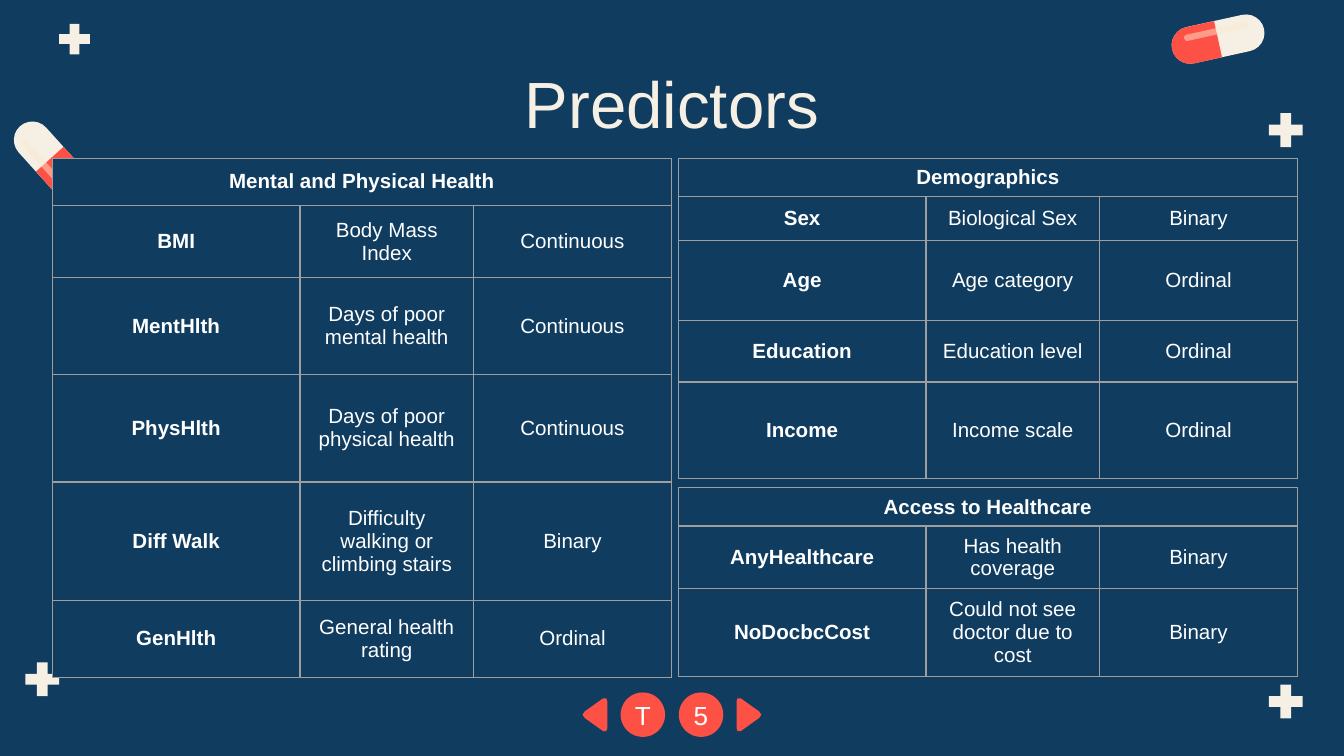
from math import cos, radians, sin

from lxml.etree import SubElement
from pptx import Presentation
from pptx.dml.color import RGBColor
from pptx.enum.shapes import MSO_SHAPE as Shape
from pptx.enum.text import MSO_ANCHOR as Anchor, PP_ALIGN as Align
from pptx.oxml.ns import qn
from pptx.util import Cm, Pt

NAVY = RGBColor(0x10, 0x3C, 0x60)
CREAM = RGBColor(0xF6, 0xEF, 0xE4)
RED = RGBColor(0xFE, 0x51, 0x45)
SHINE = RGBColor(0xFA, 0xE9, 0xCD)
WHITE = RGBColor(0xFF, 0xFF, 0xFF)
GREY = RGBColor(0x9E, 0x9E, 0x9E)

presentation = Presentation()
presentation.slide_width = Cm(25.4)
presentation.slide_height = Cm(14.29)
slide = presentation.slides.add_slide(presentation.slide_layouts[6])
slide.background.fill.solid()
slide.background.fill.fore_color.rgb = NAVY


def add_centred(kind, x, y, width, height, color, rotation=0):
    """Add a plain filled shape around its centre, in centimetres."""
    shape = slide.shapes.add_shape(
        kind, Cm(x - width / 2), Cm(y - height / 2), Cm(width), Cm(height))
    shape.rotation = rotation
    shape.shadow.inherit = False
    shape.fill.solid()
    shape.fill.fore_color.rgb = color
    shape.line.fill.background()
    return shape


def write(frame, text, size, color, bold=False):
    """Write one centred paragraph."""
    paragraph = frame.paragraphs[0]
    paragraph.alignment = Align.CENTER
    run = paragraph.add_run()
    run.text = text
    run.font.name = "Arial"
    run.font.size = Pt(size)
    run.font.bold = bold
    run.font.color.rgb = color


# Plus signs
for x, y, size in [(1.41, 0.74, 0.58), (24.3, 2.46, 0.64),
                   (24.3, 13.26, 0.64), (0.8, 12.84, 0.64)]:
    plus = add_centred(Shape.CROSS, x, y, size, size, CREAM)
    plus.adjustments[0] = 0.34

# Pills: body, red half at one end, translucent shine along one side
for x, y, length, angle in [(0.94, 3.01, 1.68, 228), (23.02, 0.74, 1.78, -12.4)]:
    along_x, along_y = cos(radians(angle)), sin(radians(angle))
    body = add_centred(Shape.ROUNDED_RECTANGLE, x, y, length, 0.7, CREAM, angle)
    half = add_centred(
        Shape.ROUND_2_SAME_RECTANGLE, x - along_x * length / 4,
        y - along_y * length / 4, 0.7, length / 2, RED, angle - 90)
    shine = add_centred(
        Shape.ROUNDED_RECTANGLE, x + along_y * 0.15, y - along_x * 0.15,
        length * 0.7, 0.12, SHINE, angle)
    for shape in (body, half, shine):
        shape.adjustments[0] = 0.5
    shine_color = shine._element.spPr.find(".//" + qn("a:srgbClr"))
    SubElement(shine_color, qn("a:alpha"), val="49000")

# Title
title = slide.shapes.add_textbox(Cm(1.98), Cm(0.94), Cm(21.44), Cm(1.6))
title.text_frame.word_wrap = True
title.text_frame.margin_top = title.text_frame.margin_bottom = Cm(0.25)
write(title.text_frame, "Predictors", 35, CREAM)

# Navigation buttons
for x, label in [(12.15, "T"), (13.25, "5")]:
    button = add_centred(Shape.OVAL, x, 13.51, 0.84, 0.84, RED)
    frame = button.text_frame
    frame.margin_left = frame.margin_right = 0
    frame.vertical_anchor = Anchor.MIDDLE
    frame.word_wrap = False
    write(frame, label, 14, WHITE)

# Navigation arrows with softened corners, mirrored about the slide centre
upper_edge = [(1.22, -0.25), (1.24, -0.31), (1.3, -0.31), (1.65, -0.06), (1.69, 0)]
outline = upper_edge + [(x, -y) for x, y in reversed(upper_edge[:-1])]
for side in (1, -1):
    points = [(Cm(12.7 + side * x), Cm(13.51 + y)) for x, y in outline]
    builder = slide.shapes.build_freeform(*points[0])
    builder.add_line_segments(points[1:])
    arrow = builder.convert_to_shape()
    arrow.shadow.inherit = False
    arrow.fill.solid()
    arrow.fill.fore_color.rgb = RED
    arrow.line.fill.background()

# Predictor tables: left, top, row heights, heading, rows
COLUMN_WIDTHS = [4.68, 3.28, 3.74]
tables = [
    (0.99, 2.99, [0.89, 1.37, 1.83, 2.03, 2.24, 1.45], "Mental and Physical Health", [
        ("BMI", "Body Mass Index", "Continuous"),
        ("MentHlth", "Days of poor mental health", "Continuous"),
        ("PhysHlth", "Days of poor physical health", "Continuous"),
        ("Diff Walk", "Difficulty walking or climbing stairs", "Binary"),
        ("GenHlth", "General health rating", "Ordinal")]),
    (12.82, 2.99, [0.64, 0.84, 1.5, 1.17, 1.83], "Demographics", [
        ("Sex", "Biological Sex", "Binary"),
        ("Age", "Age category", "Ordinal"),
        ("Education", "Education level", "Ordinal"),
        ("Income", "Income scale", "Ordinal")]),
    (12.82, 9.22, [0.64, 0.84, 1.5], "Access to Healthcare", [
        ("AnyHealthcare", "Has health coverage", "Binary"),
        ("NoDocbcCost", "Could not see doctor due to cost", "Binary")]),
]
for left, top, heights, heading, rows in tables:
    table = slide.shapes.add_table(
        len(heights), 3, Cm(left), Cm(top),
        Cm(sum(COLUMN_WIDTHS)), Cm(sum(heights))).table
    table.first_row = table.horz_banding = False
    for column, width in zip(table.columns, COLUMN_WIDTHS):
        column.width = Cm(width)
    for row, height in zip(table.rows, heights):
        row.height = Cm(height)

    # Cell borders and fills
    for cell in table.iter_cells():
        properties = cell._tc.get_or_add_tcPr()
        for edge in ("a:lnL", "a:lnR", "a:lnT", "a:lnB"):
            border = SubElement(properties, qn(edge), w=str(Pt(0.75)))
            border_fill = SubElement(border, qn("a:solidFill"))
            SubElement(border_fill, qn("a:srgbClr"), val=str(GREY))
        cell.fill.solid()
        cell.fill.fore_color.rgb = NAVY
        cell.vertical_anchor = Anchor.MIDDLE

    # Heading and content
    table.cell(0, 0).merge(table.cell(0, 2))
    write(table.cell(0, 0).text_frame, heading, 11, WHITE, True)
    for row_index, texts in enumerate(rows, 1):
        for column_index, text in enumerate(texts):
            write(table.cell(row_index, column_index).text_frame,
                  text, 11, WHITE, column_index == 0)

presentation.save("out.pptx")
